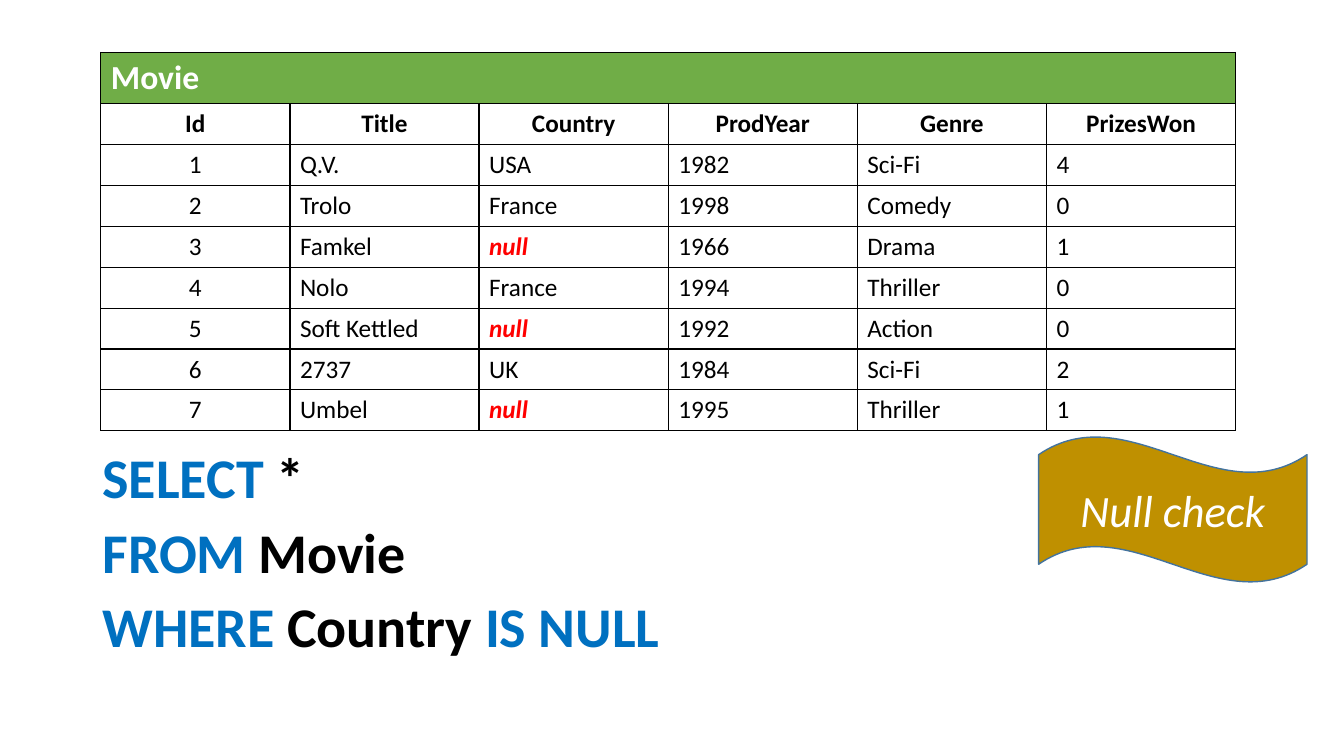
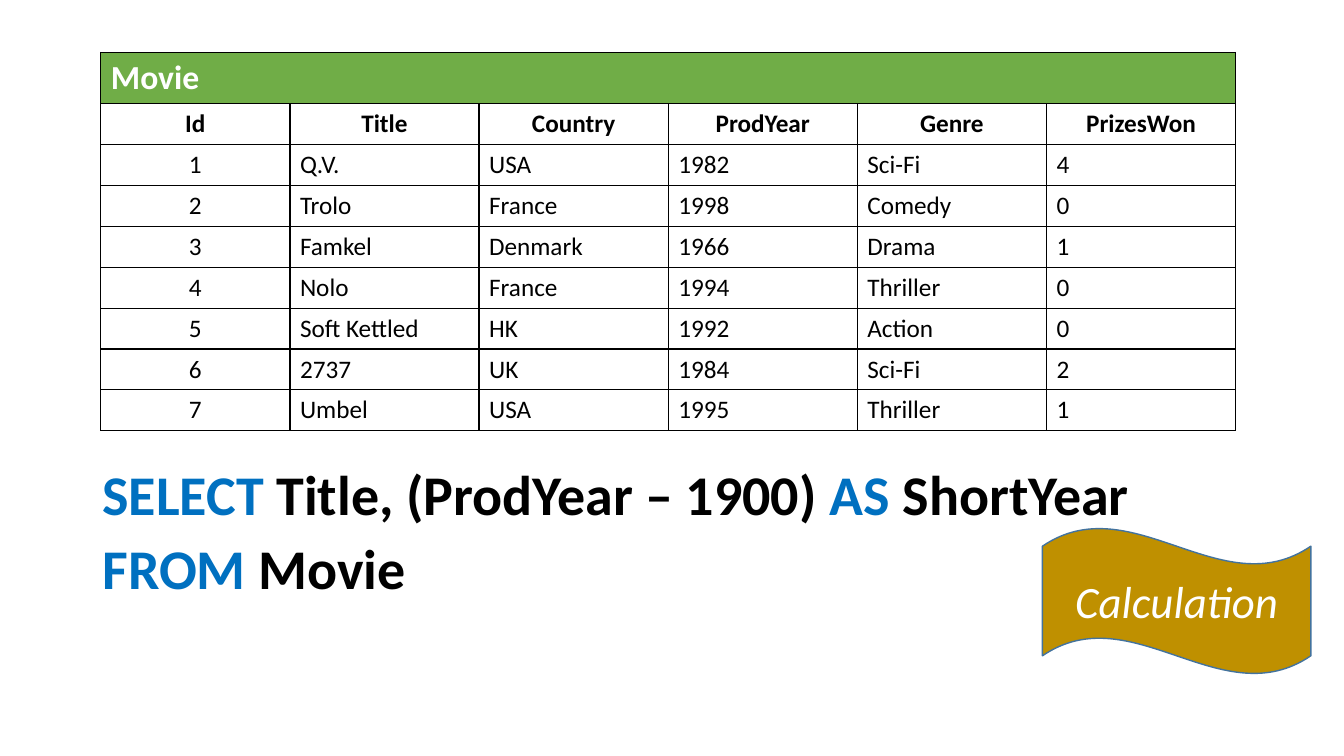
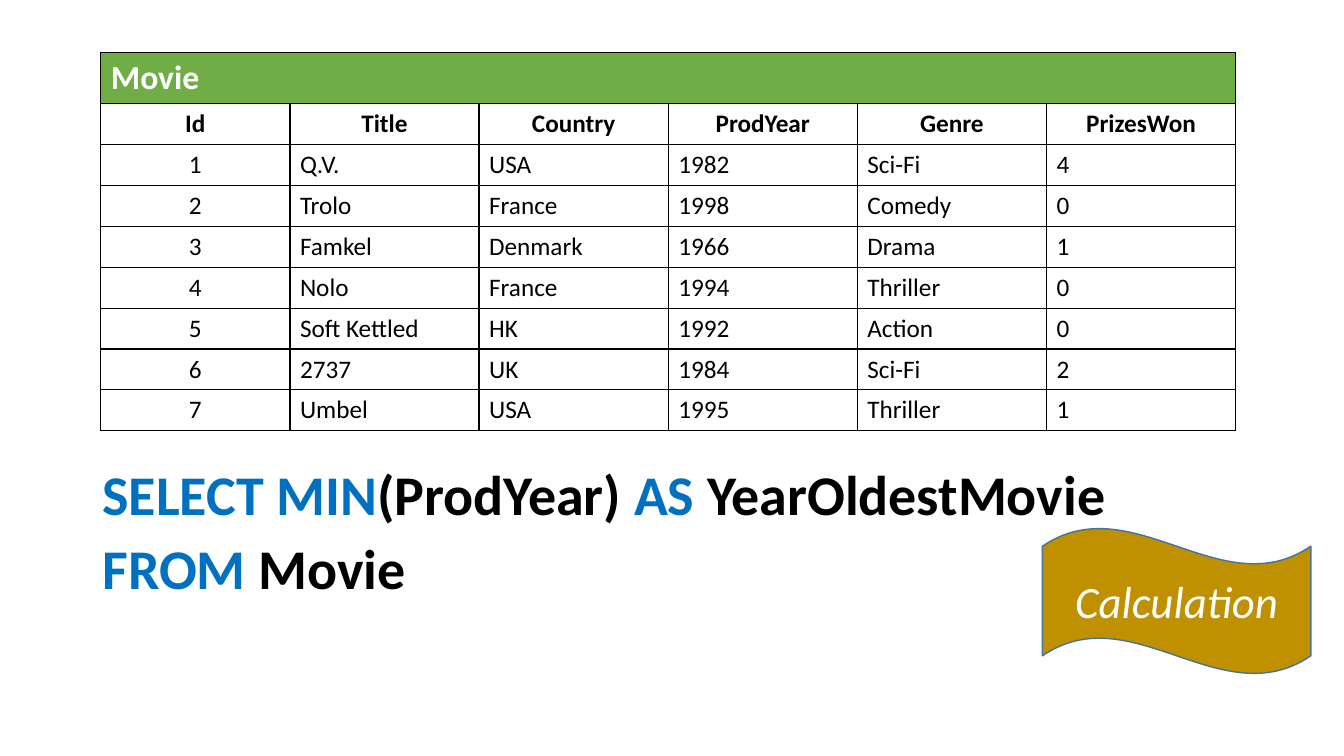
import dataclasses

import lxml.etree
import pptx
import pptx.dml.color
import pptx.enum.shapes
import pptx.enum.text
import pptx.oxml.ns
import pptx.util

COLORS = {
    "black": "000000",
    "white": "FFFFFF",
    "keyword": "0070C0",
    "null": "FF0000",
    "heading": "70AD47",
    "wave": "BF9000",
    "wave_line": "43739E",
}
FONT = "Calibri"
GRID_UNIT = pptx.util.Inches(1) // 12
GRID_COLUMNS, GRID_ROWS = 160, 90
HEADING_HEIGHT, ROW_HEIGHT = 6.1, 4.8

HEADING_FORMAT = {"size": pptx.util.Pt(24), "bold": True}
HEADER_FORMAT = {"size": pptx.util.Pt(18), "bold": True}
CELL_FORMAT = {"size": pptx.util.Pt(18), "bold": False}
NULL_FORMAT = {"size": pptx.util.Pt(18), "bold": True, "italic": True}
QUERY_FORMAT = {"size": pptx.util.Pt(40), "bold": True}
WAVE_FORMAT = {"size": pptx.util.Pt(32), "italic": True}
QUERY_SPACING = {"line_spacing": 0.9, "space_before": pptx.util.Pt(10)}

MOVIE_HEADERS = ("Id", "Title", "Country", "ProdYear", "Genre", "PrizesWon")
MOVIES = (
    ("1", "Q.V.", "USA", "1982", "Sci-Fi", "4"),
    ("2", "Trolo", "France", "1998", "Comedy", "0"),
    ("3", "Famkel", "Denmark", "1966", "Drama", "1"),
    ("4", "Nolo", "France", "1994", "Thriller", "0"),
    ("5", "Soft Kettled", "HK", "1992", "Action", "0"),
    ("6", "2737", "UK", "1984", "Sci-Fi", "2"),
    ("7", "Umbel", "USA", "1995", "Thriller", "1"),
)


@dataclasses.dataclass(frozen=True)
class Area:
    column: float
    row: float
    columns: float
    rows: float

    def lengths(self) -> tuple[int, ...]:
        return tuple(round(part * GRID_UNIT) for part in dataclasses.astuple(self))


@dataclasses.dataclass(frozen=True)
class QuerySlide:
    keyword_first_lines: tuple[str, ...]
    label: str
    query_area: Area = Area(11, 55, 138, 26)
    wave_area: Area = Area(124.1, 62.85, 31.95, 17.4)
    null_ids: tuple[str, ...] = ()


TABLE_AREA = Area(12, 6.25, 135.1, HEADING_HEIGHT + ROW_HEIGHT * (len(MOVIES) + 1))

SLIDES = (
    QuerySlide(
        ("SELECT| *", "FROM| Movie", "WHERE |Country |IS NULL"),
        "Null check",
        Area(11, 53, 139, 30.7),
        Area(123.65, 51.95, 31.95, 17.4),
        ("3", "5", "7"),
    ),
    QuerySlide(
        ("SELECT| Title, (ProdYear – 1900) |AS| ShortYear", "FROM| Movie"),
        "Calculation",
    ),
    QuerySlide(
        ("SELECT MIN|(ProdYear) |AS| YearOldestMovie", "FROM| Movie"),
        "Calculation",
    ),
)


def rgb(name: str) -> pptx.dml.color.RGBColor:
    return pptx.dml.color.RGBColor.from_string(COLORS[name])


def set_attributes(target, values: dict) -> None:
    for name, value in values.items():
        setattr(target, name, value)


def add_span(para, text: str, color: str, values: dict) -> None:
    span = para.add_run()
    span.text = text
    set_attributes(span.font, {"name": FONT, **values})
    span.font.color.rgb = rgb(color)


def add_borders(cell) -> None:
    properties = cell._tc.get_or_add_tcPr()
    for side in ("lnL", "lnR", "lnT", "lnB"):
        line = lxml.etree.SubElement(
            properties, pptx.oxml.ns.qn(f"a:{side}"), w=str(pptx.util.Pt(1))
        )
        fill = lxml.etree.SubElement(line, pptx.oxml.ns.qn("a:solidFill"))
        lxml.etree.SubElement(fill, pptx.oxml.ns.qn("a:srgbClr"), val=COLORS["black"])


def fill_cell(cell, text: str, color: str, values: dict, centered: bool) -> None:
    para = cell.text_frame.paragraphs[0]
    if centered:
        para.alignment = pptx.enum.text.PP_ALIGN.CENTER
    add_span(para, text, color, values)


def add_movie_table(page, null_ids: tuple[str, ...]) -> None:
    table = page.shapes.add_table(
        len(MOVIES) + 2, len(MOVIE_HEADERS), *TABLE_AREA.lengths()
    ).table
    set_attributes(table, {"first_row": False, "horz_banding": False})
    for index, row in enumerate(table.rows):
        row.height = round((ROW_HEIGHT if index else HEADING_HEIGHT) * GRID_UNIT)
        for cell in row.cells:
            add_borders(cell)
            cell.fill.solid()
            cell.fill.fore_color.rgb = rgb("white" if index else "heading")
    heading = table.cell(0, 0)
    heading.merge(table.cell(0, len(MOVIE_HEADERS) - 1))
    fill_cell(heading, "Movie", "white", HEADING_FORMAT, False)
    for column, header in enumerate(MOVIE_HEADERS):
        fill_cell(table.cell(1, column), header, "black", HEADER_FORMAT, True)
    for row_index, movie in enumerate(MOVIES, start=2):
        for column, value in enumerate(movie):
            cell = table.cell(row_index, column)
            if MOVIE_HEADERS[column] == "Country" and movie[0] in null_ids:
                fill_cell(cell, "null", "null", NULL_FORMAT, False)
            else:
                fill_cell(cell, value, "black", CELL_FORMAT, column == 0)


def add_query(page, keyword_first_lines: tuple[str, ...], area: Area) -> None:
    box = page.placeholders[1]
    set_attributes(box, dict(zip(("left", "top", "width", "height"), area.lengths())))
    frame = box.text_frame
    frame.auto_size = pptx.enum.text.MSO_AUTO_SIZE.NONE
    for index, line in enumerate(keyword_first_lines):
        para = frame.add_paragraph() if index else frame.paragraphs[0]
        set_attributes(para, QUERY_SPACING)
        properties = para._p.get_or_add_pPr()
        properties.set("marL", "0")
        properties.set("indent", "0")
        lxml.etree.SubElement(properties, pptx.oxml.ns.qn("a:buNone"))
        for position, text in enumerate(line.split("|")):
            add_span(para, text, "black" if position % 2 else "keyword", QUERY_FORMAT)


def add_wave(page, label: str, area: Area) -> None:
    wave = page.shapes.add_shape(
        pptx.enum.shapes.MSO_SHAPE.WAVE, *area.lengths()
    )
    wave.shadow.inherit = False
    wave.fill.solid()
    wave.fill.fore_color.rgb = rgb("wave")
    wave.line.color.rgb = rgb("wave_line")
    wave.line.width = pptx.util.Pt(1)
    wave.text_frame.vertical_anchor = pptx.enum.text.MSO_ANCHOR.MIDDLE
    para = wave.text_frame.paragraphs[0]
    para.alignment = pptx.enum.text.PP_ALIGN.CENTER
    add_span(para, label, "white", WAVE_FORMAT)


def main() -> None:
    deck = pptx.Presentation()
    deck.slide_width = GRID_COLUMNS * GRID_UNIT
    deck.slide_height = GRID_ROWS * GRID_UNIT
    for content in SLIDES:
        page = deck.slides.add_slide(deck.slide_layouts[1])
        title = page.shapes.title.element
        title.getparent().remove(title)
        add_query(page, content.keyword_first_lines, content.query_area)
        add_movie_table(page, content.null_ids)
        add_wave(page, content.label, content.wave_area)
    deck.save("out.pptx")


if __name__ == "__main__":
    main()
